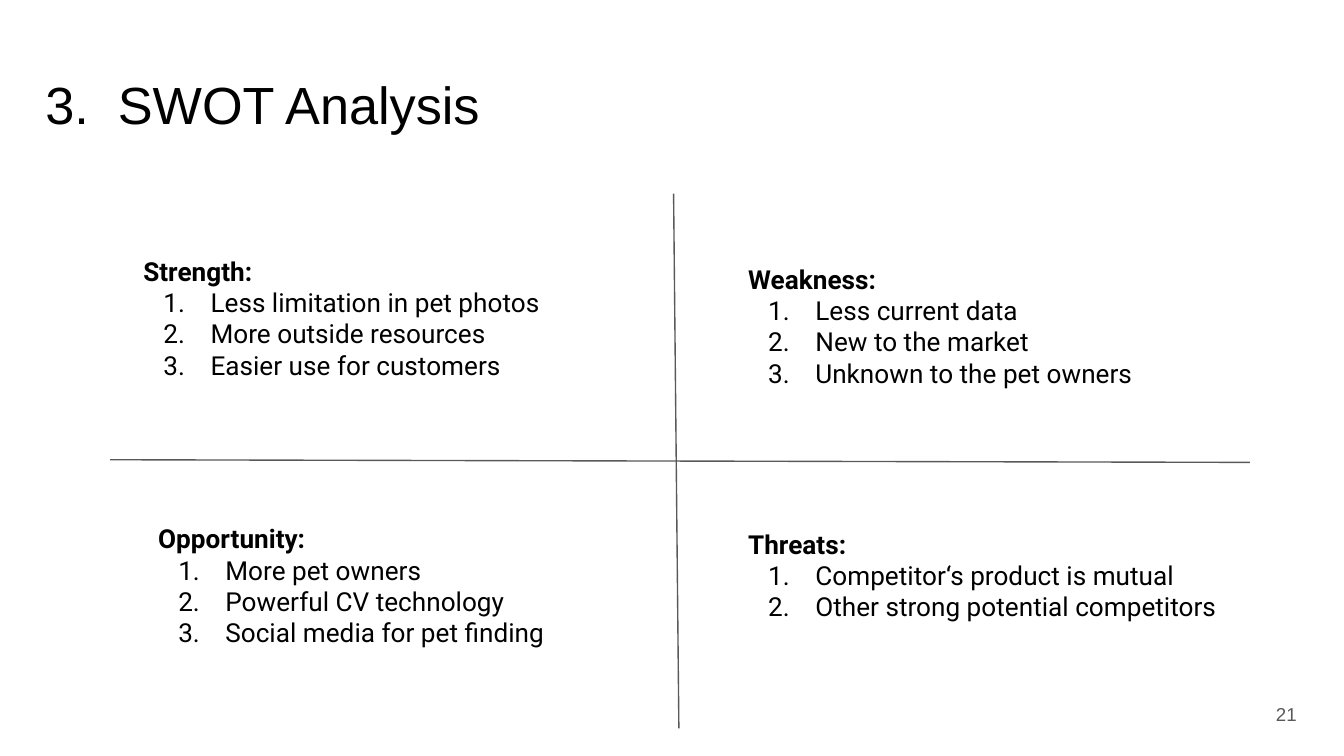
from dataclasses import dataclass

from lxml import etree
from pptx import Presentation
from pptx import util as u
from pptx.dml.color import RGBColor
from pptx.enum import shapes, text
from pptx.oxml.ns import qn


@dataclass(frozen=True)
class Theme:
    ink: RGBColor = RGBColor(0x00, 0x00, 0x00)
    muted: RGBColor = RGBColor(0x59, 0x59, 0x59)
    heading_font: str = "Arial"
    body_font: str = "Roboto"
    title_size: int = 28
    body_size: int = 14
    number_size: int = 10
    axis_width: float = 0.75


class SlideBuilder:
    def __init__(self, slide, theme):
        self.slide = slide
        self.theme = theme

    def frame(self, box, inset=0.0, anchor=text.MSO_ANCHOR.TOP):
        area = self.slide.shapes.add_textbox(*map(u.Cm, box)).text_frame
        area.word_wrap = True
        area.vertical_anchor = anchor
        area.margin_left = area.margin_right = u.Cm(inset)
        area.margin_top = area.margin_bottom = u.Cm(inset)
        return area

    def add_words(self, paragraph, wording, size, font, color, bold=False):
        run = paragraph.add_run()
        run.text = wording
        run.font.size = u.Pt(size)
        run.font.name = font
        run.font.color.rgb = color
        run.font.bold = bold

    def label(self, box, wording, size, color, align=text.PP_ALIGN.LEFT, spacing=1.0):
        paragraph = self.frame(box, anchor=text.MSO_ANCHOR.MIDDLE).paragraphs[0]
        paragraph.alignment = align
        paragraph.line_spacing = spacing
        self.add_words(paragraph, wording, size, self.theme.heading_font, color)

    def axis(self, start, end):
        line = self.slide.shapes.add_connector(
            shapes.MSO_CONNECTOR.STRAIGHT, *map(u.Cm, start + end))
        line.line.color.rgb = self.theme.muted
        line.line.width = u.Pt(self.theme.axis_width)
        etree.SubElement(line._element.spPr, qn("a:effectLst"))

    def number(self, paragraph):
        properties = paragraph._p.get_or_add_pPr()
        properties.set("marL", str(u.Cm(1.27)))
        properties.set("indent", str(-u.Cm(0.89)))
        bullet_color = etree.SubElement(properties, qn("a:buClr"))
        etree.SubElement(bullet_color, qn("a:srgbClr"), val=str(self.theme.ink))
        etree.SubElement(properties, qn("a:buFont"), typeface=self.theme.body_font)
        etree.SubElement(properties, qn("a:buAutoNum"), type="arabicPeriod")

    def quadrant(self, box, heading, points):
        style = (self.theme.body_size, self.theme.body_font, self.theme.ink)
        area = self.frame(box, inset=0.25)
        self.add_words(area.paragraphs[0], heading, *style, bold=True)
        for point in points:
            paragraph = area.add_paragraph()
            self.number(paragraph)
            self.add_words(paragraph, point, *style)


QUADRANTS = [
    ((2.46, 4.57, 9.22, 4.17), "Strength:",
     ["Less limitation in pet photos", "More outside resources",
      "Easier use for customers"]),
    ((13.89, 4.72, 8.13, 3.2), "Weakness:",
     ["Less current data", "New to the market", "Unknown to the pet owners"]),
    ((2.74, 9.63, 8.13, 3.33), "Opportunity:",
     ["More pet owners", "Powerful CV technology", "Social media for pet finding"]),
    ((13.89, 9.73, 9.65, 3.1), "Threats:",
     ["Competitor‘s product is mutual", "Other strong potential competitors"]),
]


def main():
    deck = Presentation()
    deck.slide_width, deck.slide_height = u.Cm(25.4), u.Cm(14.29)
    theme = Theme()
    swot = SlideBuilder(deck.slides.add_slide(deck.slide_layouts[6]), theme)

    # Title and page number
    swot.label((0.86, 1.24, 23.67, 1.6), "3.  SWOT Analysis",
               theme.title_size, theme.ink, spacing=0.9)
    swot.label((23.55, 12.95, 1.52, 1.09), "21",
               theme.number_size, theme.muted, text.PP_ALIGN.CENTER)

    # Dividing axes
    swot.axis((2.08, 8.69), (23.62, 8.74))
    swot.axis((12.73, 3.66), (12.83, 13.77))

    # Four quadrants
    for box, heading, points in QUADRANTS:
        swot.quadrant(box, heading, points)

    deck.save("out.pptx")


if __name__ == "__main__":
    main()
